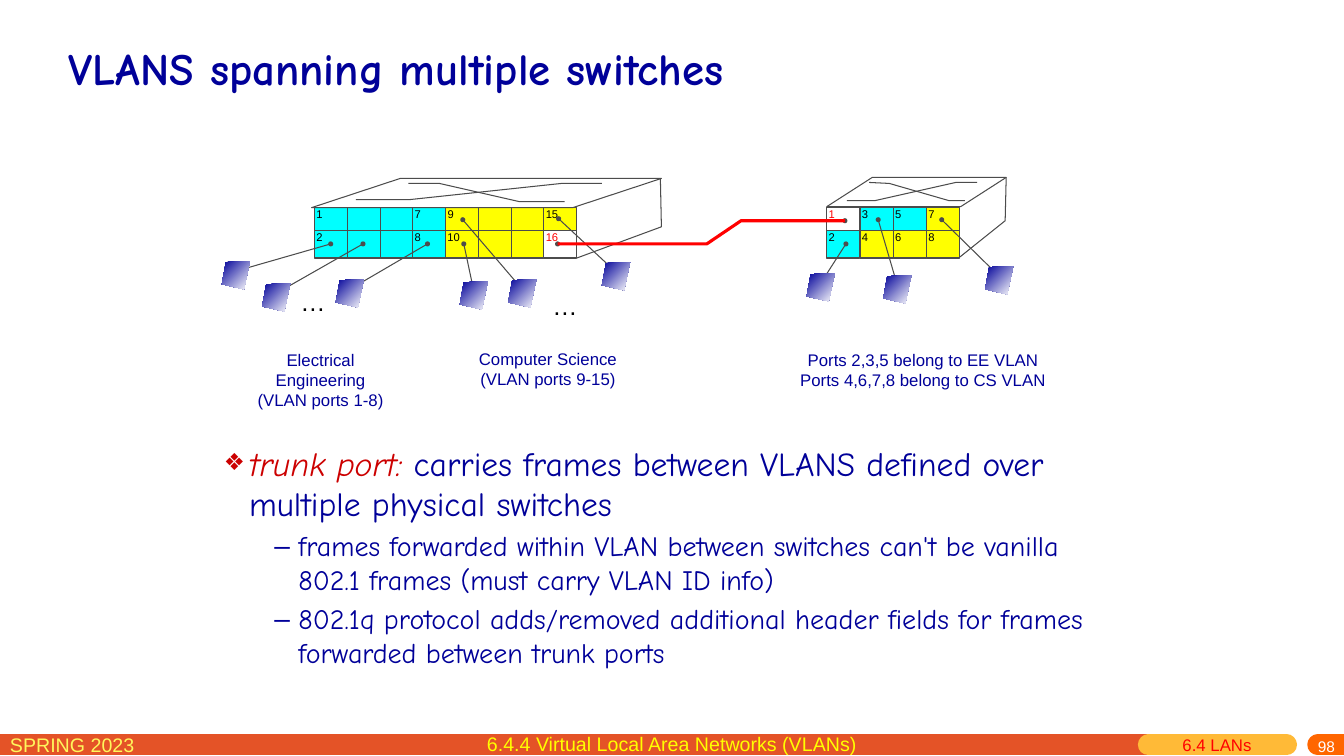
from lxml import etree
from pptx import Presentation
from pptx import util as u
from pptx.dml import color
from pptx.enum import shapes, text
from pptx.oxml import ns

# Content
COLORS = {"navy": "000099", "crimson": "CC0000", "red": "FF0000", "cyan": "00FFFF",
          "yellow": "FFFF00", "gray": "4C4C4C", "black": "000000", "white": "FFFFFF",
          "brick": "E45327", "amber": "FFBA37", "orange": "FF6600", "lemon": "FFF65C"}
TITLE = "VLANS spanning multiple switches"
# level, left margin, hanging indent, bullet, bullet size %, space before, size, runs
BULLETS = [
    (0, 0.25, 0.25, "❖", 70, 0, 24,
     [("trunk port: ", "crimson", True),
      ("carries frames between VLANS defined over multiple physical switches", "navy", False)]),
    (1, 0.74, 0.24, "–", 100, 4, 20,
     [("frames forwarded within VLAN between switches can't be vanilla 802.1 frames "
       "(must carry VLAN ID info)", "navy", False)]),
    (1, 0.74, 0.24, "–", 100, 4, 20,
     [("802.1q protocol adds/removed additional header fields for frames "
       "forwarded between trunk ports", "navy", False)]),
]
# Each port is (label, fill, label colour), listed row by row
PLAIN_CYAN, PLAIN_YELLOW = ("", "cyan", "black"), ("", "yellow", "black")
SWITCHES = [
    {"left": 3.12, "pitch": 0.325, "rows": [
        [("1", "cyan", "black"), PLAIN_CYAN, PLAIN_CYAN, ("7", "cyan", "black"),
         ("9", "yellow", "black"), PLAIN_YELLOW, PLAIN_YELLOW, ("15", "yellow", "black")],
        [("2", "cyan", "black"), PLAIN_CYAN, PLAIN_CYAN, ("8", "cyan", "black"),
         ("10", "yellow", "black"), PLAIN_YELLOW, PLAIN_YELLOW, ("16", "white", "red")]],
     "lid": (3.09, 1.77, 3.47, 0.29), "slant": 3.032,
     "edges": [[(5.72, 2.56), (6.56, 2.25), (6.55, 1.77)],
               [(3.53, 1.98), (4.07, 1.98), (5.57, 1.82), (5.97, 1.82)],
               [(4.05, 1.82), (4.36, 1.82), (5.15, 2), (5.6, 2)]]},
    {"left": 8.2, "pitch": 0.33, "rows": [
        [("1", "white", "red"), ("3", "cyan", "black"), ("5", "cyan", "black"),
         ("7", "yellow", "black")],
        [("2", "cyan", "black"), ("4", "yellow", "black"), ("6", "yellow", "black"),
         ("8", "yellow", "black")]],
     "lid": (8.2, 1.76, 1.78, 0.29), "slant": 1.556,
     "edges": [[(9.98, 1.76), (9.97, 2.19), (9.52, 2.55)],
               [(8.4, 1.99), (8.68, 1.99), (9.48, 1.81), (9.69, 1.81)],
               [(8.62, 1.81), (8.82, 1.82), (9.41, 1.99), (9.57, 1.99)]]},
]
ROWS = [(2.06, 0.23), (2.29, 0.27)]
# Port point, then top left corner of the host
CABLES = [((3.28, 2.42), (2.2, 2.59)), ((3.6, 2.42), (2.6, 2.81)), ((4.24, 2.42), (3.33, 2.77)),
          ((4.6, 2.42), (4.56, 2.79)), ((4.59, 2.18), (5.04, 2.77)), ((5.54, 2.17), (5.97, 2.6)),
          ((8.39, 2.42), (8, 2.71)), ((8.71, 2.18), (8.76, 2.73)), ((9.34, 2.18), (9.77, 2.64))]
HOST_OUTLINE = [(0.28, 0), (0.04, 0.01), (0, 0.23), (0.22, 0.28)]
TRUNK = [(5.53, 2.42), (7.01, 2.42), (7.35, 2.19), (8.38, 2.19)]
# Lines, place, size, colour, alignment
CENTER, LEFT, RIGHT = text.PP_ALIGN.CENTER, text.PP_ALIGN.LEFT, text.PP_ALIGN.RIGHT
CAPTIONS = [
    (["Electrical Engineering", "(VLAN ports 1-8)"], (2.38, 3.42, 1.6, 0.7), 12, "navy", CENTER),
    (["Computer Science", "(VLAN ports 9-15)"], (4.55, 3.41, 1.77, 0.5), 12, "navy", CENTER),
    (["Ports 2,3,5 belong to EE VLAN", "Ports 4,6,7,8 belong to CS VLAN"],
     (7.74, 3.42, 2.83, 0.5), 12, "navy", CENTER),
    (["…"], (2.88, 2.79, 0.45, 0.4), 18, "black", LEFT),
    (["…"], (5.38, 2.83, 0.45, 0.4), 18, "black", LEFT),
    (["SPRING 2023"], (0, 7.22, 2.29, 0.31), 14, "lemon", LEFT),
    (["6.4.4 Virtual Local Area Networks (VLANs)"], (2.65, 7.21, 8.03, 0.34), 14, "yellow", CENTER),
    (["6.4 LANs"], (11.63, 7.24, 1.1, 0.31), 12, "red", LEFT),
    (["98"], (12.74, 7.26, 0.6, 0.28), 11, "white", RIGHT),
]
# Start, end, colour, cap
FOOTER_BARS = [(0, 11.39, "brick", "flat"), (11.39, 12.76, "amber", "rnd"),
               (13.07, 13.33, "orange", "rnd")]

deck = Presentation()
deck.slide_width, deck.slide_height = u.Inches(13.33), u.Inches(7.5)
page = deck.slides.add_slide(deck.slide_layouts[1])


def inches(values):
    return [u.Inches(value) for value in values]


def rgb(ink):
    return color.RGBColor.from_string(COLORS[ink])


def set_values(target, values):
    for key, value in values.items():
        setattr(target, key, value)


def move(shape, place):
    set_values(shape, dict(zip(("left", "top", "width", "height"), inches(place))))


def set_font(font, size, ink, face="Arial", **values):
    set_values(font, {"size": u.Pt(size), "name": face, **values})
    font.color.rgb = rgb(ink)


def paint(shape, fill=None, line=None, width=0.75):
    shape.shadow.inherit = False
    if fill:
        shape.fill.solid()
        shape.fill.fore_color.rgb = rgb(fill)
    else:
        shape.fill.background()
    if line:
        shape.line.color.rgb = rgb(line)
        shape.line.width = u.Pt(width)
    else:
        shape.line.fill.background()
    return shape


def add_block(kind, place, fill, line=None):
    return paint(page.shapes.add_shape(kind, *inches(place)), fill, line)


def add_outline(points, close=False):
    corners = [inches(point) for point in points]
    builder = page.shapes.build_freeform(*corners[0])
    builder.add_line_segments(corners[1:], close=close)
    return builder.convert_to_shape()


def add_line(start, end, ink, width, cap="flat"):
    line = page.shapes.add_connector(shapes.MSO_CONNECTOR.STRAIGHT, *inches(start + end))
    line.line.color.rgb = rgb(ink)
    line.line.width = u.Pt(width)
    line.line._get_or_add_ln().set("cap", cap)
    etree.SubElement(line._element.spPr, ns.qn("a:effectLst"))


def add_dot(x, y):
    add_block(shapes.MSO_SHAPE.OVAL, (x - 0.025, y - 0.025, 0.05, 0.05), "gray")


def add_text(lines, place, size, ink, align, wrap=True):
    box = page.shapes.add_textbox(*inches(place))
    box.text_frame.word_wrap = wrap
    for index, line in enumerate(lines):
        para = box.text_frame.paragraphs[0] if index == 0 else box.text_frame.add_paragraph()
        para.alignment = align
        span = para.add_run()
        span.text = line
        set_font(span.font, size, ink)


# Title
title = page.shapes.title
move(title, (0.58, 0.28, 12.18, 0.79))
title.text_frame.text = TITLE
title.text_frame.vertical_anchor = text.MSO_ANCHOR.MIDDLE
title.text_frame.paragraphs[0].alignment = LEFT
set_font(title.text_frame.paragraphs[0].runs[0].font, 32, "navy", "Comic Neue", bold=True)

# Bullet list
body = page.placeholders[1]
move(body, (2.12, 4.34, 9.07, 2.56))
body.text_frame.auto_size = text.MSO_AUTO_SIZE.NONE
for index, (level, margin, hang, mark, percent, before, size, runs) in enumerate(BULLETS):
    para = body.text_frame.paragraphs[0] if index == 0 else body.text_frame.add_paragraph()
    set_values(para, {"level": level, "space_before": u.Pt(before)})
    props = para._p.get_or_add_pPr()
    props.set("marL", str(u.Inches(margin)))
    props.set("indent", str(-u.Inches(hang)))
    for tag, key, value in (("buSzPct", "val", str(percent * 1000)),
                            ("buFont", "typeface", "Arial"), ("buChar", "char", mark)):
        etree.SubElement(props, ns.qn("a:" + tag)).set(key, value)
    for words, ink, italic in runs:
        span = para.add_run()
        span.text = words
        set_font(span.font, size, ink, "Comic Neue", italic=italic)

# Footer bars
for start, end, ink, cap in FOOTER_BARS:
    add_line((start, 7.39), (end, 7.39), ink, 15, cap)

# Switches: port grid, lid and edges
for switch in SWITCHES:
    for (top, height), ports in zip(ROWS, switch["rows"]):
        for column, (label, fill, ink) in enumerate(ports):
            left = switch["left"] + column * switch["pitch"]
            add_block(shapes.MSO_SHAPE.RECTANGLE, (left, top, switch["pitch"], height), fill, "gray")
            if label:
                add_text([label], (left - 0.08, top - 0.055, 0.2 + 0.065 * len(label), 0.23),
                         8, ink, LEFT, wrap=False)
    lid = add_block(shapes.MSO_SHAPE.PARALLELOGRAM, switch["lid"], "white", "gray")
    lid.adjustments[0] = switch["slant"]
    for edge in switch["edges"]:
        paint(add_outline(edge), line="gray")

# Cables and hosts
for port, (left, top) in CABLES:
    add_line(port, (left + 0.14, top + 0.1), "gray", 0.75)
    add_dot(*port)
    host = paint(add_outline([(left + x, top + y) for x, y in HOST_OUTLINE], close=True))
    host.fill.gradient()
    host.fill.gradient_angle = 315
    for stop, ink in zip(host.fill.gradient_stops, ("navy", "white")):
        stop.color.rgb = rgb(ink)

# Trunk between the switches
for end in (TRUNK[0], TRUNK[-1]):
    add_dot(*end)
paint(add_outline(TRUNK), line="red", width=2.25)

# Captions and footer text
for caption in CAPTIONS:
    add_text(*caption)

deck.save("out.pptx")
